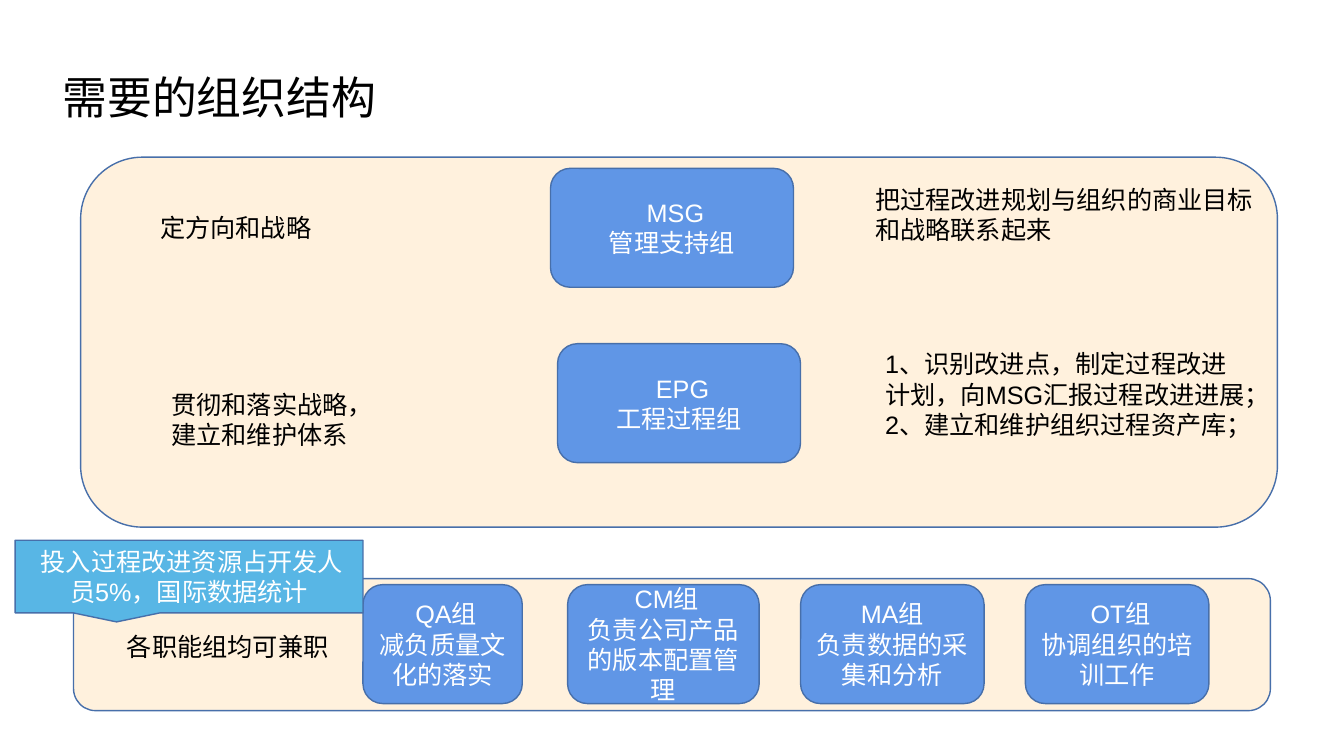
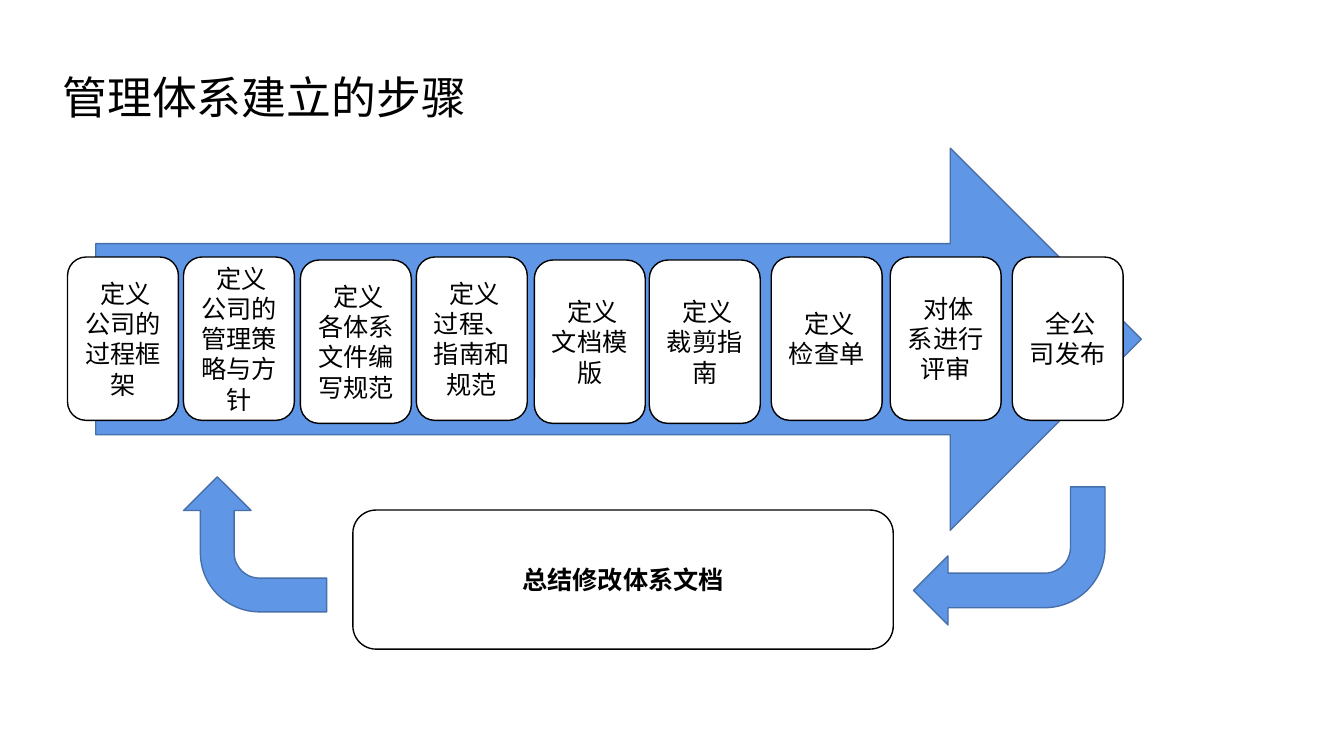
"""Builds two slides on process improvement: the organisation and the steps."""
from dataclasses import dataclass

from pptx import Presentation
from pptx.dml.color import RGBColor as RGB
from pptx.enum.shapes import MSO_SHAPE as SHAPE
from pptx.enum.text import MSO_ANCHOR as ANCHOR, MSO_AUTO_SIZE as FIT, PP_ALIGN as ALIGN
from pptx.util import Inches, Pt


@dataclass(frozen=True)
class Theme:
    font: str = "Arial"
    title_size: int = 32
    body_size: int = 18
    line_width: int = 1
    black: str = "000000"
    white: str = "FFFFFF"
    blue: str = "6096E6"
    sky: str = "58B6E5"
    cream: str = "FFF1DD"
    edge: str = "476FAA"


THEME = Theme()
CELL = 0.1
TITLE_BOX = (5.2, 6.4, 56, 6.4)
GROUP = dict(fill=THEME.blue, line=THEME.edge, color=THEME.white)
CARD = dict(kind=SHAPE.FLOWCHART_ALTERNATE_PROCESS, fill=THEME.white, line=THEME.black)

PANELS = [(8, 15.6, 118.7, 36.7), (7.3, 57.4, 118.7, 13.1)]
LEAD_SIZE = (24.1, 11.8)
LEADS = [
    (54.6, 16.7, " MSG\n管理支持组"),
    (55.3, 34.1, " EPG\n工程过程组"),
]
TEAM_TOP, TEAM_HEIGHT = 58, 11.8
TEAMS = [
    (36, 15.8, " QA组\n减负质量文化的落实"),
    (56.3, 19, " CM组\n负责公司产品的版本配置管理"),
    (79.4, 18.2, "MA组\n负责数据的采集和分析"),
    (101.7, 18.2, " OT组\n协调组织的培训工作"),
]
LABELS = [
    ((14.9, 20.6, 17, 4), "定方向和战略"),
    ((16, 38.1, 22, 7.1), "贯彻和落实战略，\n建立和维护体系"),
    ((11.6, 62.1, 22, 4), "各职能组均可兼职"),
    ((85.8, 17.8, 39.5, 7.1), "把过程改进规划与组织的商业目标\n和战略联系起来"),
    ((86.8, 34.1, 40.2, 10.1),
     "1、识别改进点，制定过程改进\n计划，向MSG汇报过程改进进展；\n2、建立和维护组织过程资产库；"),
]
CALLOUT = ((1.5, 53.6, 34.5, 7.2), " 投入过程改进资源占开发人员5%，国际数据统计")

STEP_SIZE = (11, 16.2)
HIGH, LOW = 25.5, 25.8
STEPS = [
    (6.7, HIGH, " 定义公司的过程框架"),
    (18.2, HIGH, " 定义公司的管理策略与方针"),
    (29.8, LOW, " 定义各体系文件编写规范"),
    (41.3, HIGH, " 定义过程、指南和规范"),
    (53, LOW, " 定义文档模版"),
    (64.4, LOW, " 定义裁剪指南"),
    (76.5, HIGH, " 定义检查单"),
    (88.3, HIGH, " 对体系进行评审"),
    (100.4, HIGH, " 全公司发布"),
]
FLOW_ARROW = (9.5, 14.7, 103.7, 37.9)
SUMMARY = ((35, 50.6, 53.6, 13.8), "总结修改体系文档")
RETURN_ARROWS = [((90.6, 48.3, 19, 13.7), 180), ((18.6, 46.9, 13.4, 14.2), 270)]


def assign(target, values):
    """Set each named attribute of the target."""
    for name, value in values.items():
        setattr(target, name, value)


def grid(box):
    """Turn columns and rows of the grid into lengths."""
    return [Inches(n * CELL) for n in box]


def write(tf, text, size=THEME.body_size, color=THEME.black, bold=False,
          align=ALIGN.LEFT, **frame):
    """Fill a text frame, one paragraph for each line of text."""
    assign(tf, frame)
    tf.text = text
    for p in tf.paragraphs:
        p.alignment = align
        for r in p.runs:
            assign(r.font, dict(name=THEME.font, size=Pt(size), bold=bold))
            r.font.color.rgb = RGB.from_string(color)


def add_slide(prs, title):
    """Add a slide with its title."""
    s = prs.slides.add_slide(prs.slide_layouts[5])
    write(s.shapes.title.text_frame, title, size=THEME.title_size,
          vertical_anchor=ANCHOR.TOP, word_wrap=True, auto_size=FIT.NONE)
    return s


def add_block(s, box, text="", kind=SHAPE.ROUNDED_RECTANGLE, fill=THEME.blue,
              line=THEME.edge, rotation=0, **style):
    """Add a filled and outlined shape with centred text."""
    sp = s.shapes.add_shape(kind, *grid(box))
    sp.shadow.inherit = False
    sp.rotation = rotation
    sp.fill.solid()
    sp.fill.fore_color.rgb = RGB.from_string(fill)
    sp.line.color.rgb = RGB.from_string(line)
    sp.line.width = Pt(THEME.line_width)
    if text:
        write(sp.text_frame, text, align=ALIGN.CENTER,
              vertical_anchor=ANCHOR.MIDDLE, word_wrap=True, **style)


def add_label(s, box, text):
    """Add plain text that keeps its own line breaks."""
    sp = s.shapes.add_textbox(*grid(box))
    write(sp.text_frame, text, word_wrap=False, auto_size=FIT.SHAPE_TO_FIT_TEXT)


def add_organisation(prs):
    """Build the slide on the organisation needed."""
    s = add_slide(prs, "需要的组织结构")
    for box in PANELS:
        add_block(s, box, fill=THEME.cream)
    for left, top, text in LEADS:
        add_block(s, (left, top, *LEAD_SIZE), text, **GROUP)
    for left, width, text in TEAMS:
        add_block(s, (left, TEAM_TOP, width, TEAM_HEIGHT), text, **GROUP)
    for box, text in LABELS:
        add_label(s, box, text)
    add_block(s, *CALLOUT, kind=SHAPE.RECTANGULAR_CALLOUT, fill=THEME.sky,
              color=THEME.white)


def add_steps(prs):
    """Build the slide on the steps of setting up the system."""
    s = add_slide(prs, "管理体系建立的步骤")
    add_block(s, FLOW_ARROW, kind=SHAPE.RIGHT_ARROW)
    for left, top, text in STEPS:
        add_block(s, (left, top, *STEP_SIZE), text, **CARD)
    add_block(s, *SUMMARY, bold=True, **CARD)
    for box, rotation in RETURN_ARROWS:
        add_block(s, box, kind=SHAPE.BENT_ARROW, rotation=rotation)


def main():
    """Build and save the presentation."""
    prs = Presentation()
    assign(prs, dict(slide_width=Inches(13.33), slide_height=Inches(7.5)))
    title = prs.slide_layouts[5].placeholders[0]
    assign(title, dict(zip(("left", "top", "width", "height"), grid(TITLE_BOX))))
    add_organisation(prs)
    add_steps(prs)
    prs.save("out.pptx")


if __name__ == "__main__":
    main()
